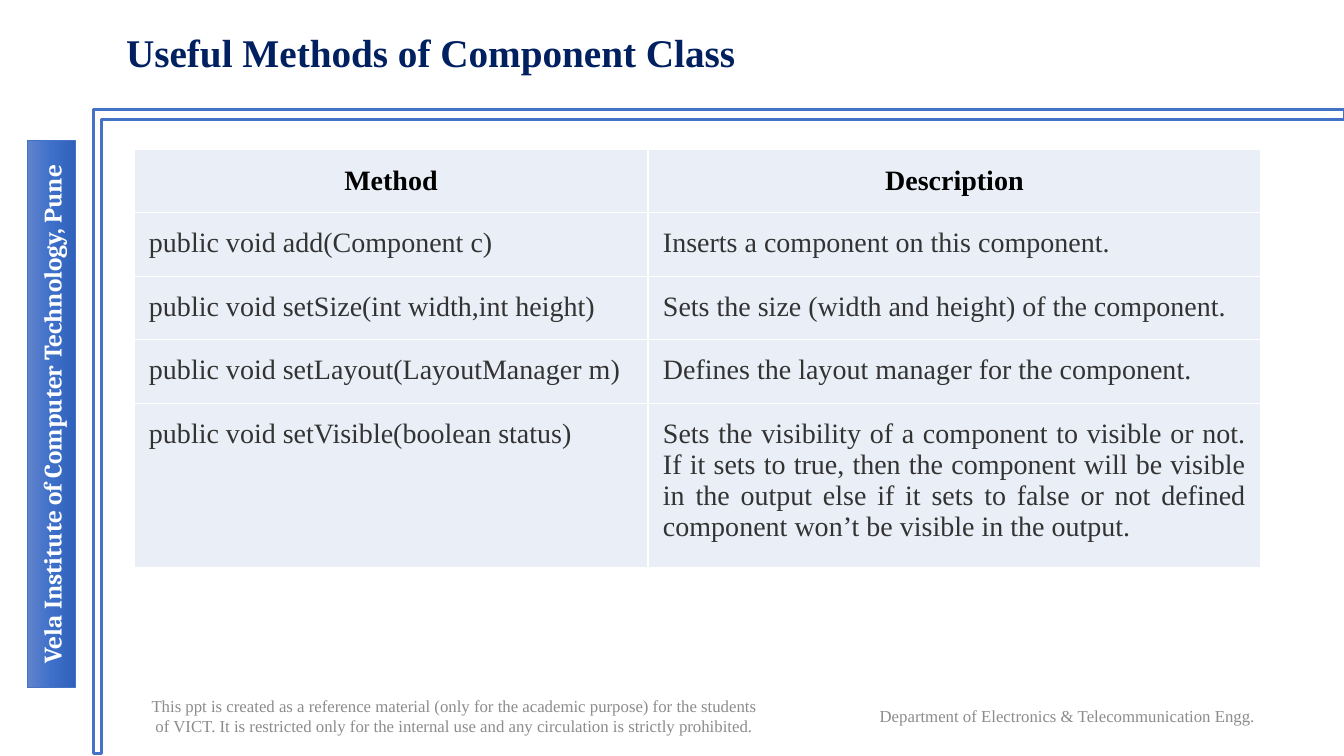
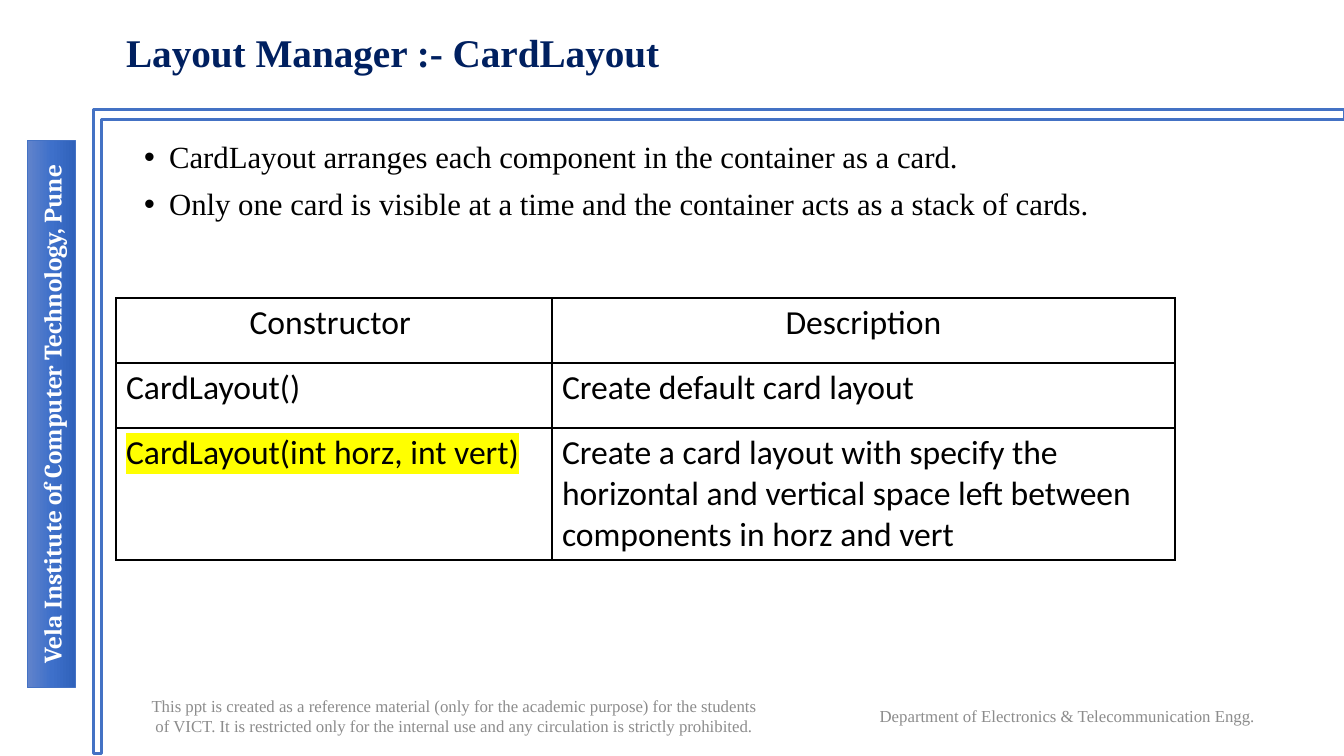
import copy

import pptx
import pptx.dml.color
import pptx.enum.shapes
import pptx.enum.text
import pptx.oxml
import pptx.oxml.ns
import pptx.util

EMU_PER_PX = 914400 / 100.8
SERIF = "Times New Roman"
NAVY, BLUE, GREY = "002060", "4472C4", "8C8C8C"
BLACK, WHITE, DARK_GREY = "000000", "FFFFFF", "333333"
PALE_BLUE, YELLOW = "EAEFF7", "FFFF00"
SIDEBAR_GRADIENT = ["6183CB", "3E70CA", "3062BB"]

INSTITUTE = "Vela Institute of Computer Technology, Pune"
DISCLAIMER = (
    "This ppt is created as a reference material (only for the academic purpose) "
    "for the students of VICT. It is restricted only for the internal use and any "
    "circulation is strictly prohibited."
)
DEPARTMENT = "Department of Electronics & Telecommunication Engg. "

METHODS = [
    ("Method", "Description"),
    ("public void add(Component c)", "Inserts a component on this component."),
    ("public void setSize(int width,int height)",
     "Sets the size (width and height) of the component."),
    ("public void setLayout(LayoutManager m)",
     "Defines the layout manager for the component."),
    ("public void setVisible(boolean status)",
     "Sets the visibility of a component to visible or not. If it sets to true, then "
     "the component will be visible in the output else if it sets to false or not "
     "defined component won’t be visible in the output."),
]
CARD_POINTS = [
    "CardLayout arranges each component in the container as a card.",
    "Only one card is visible at a time and the container acts as a stack of cards.",
]
CONSTRUCTORS = [
    ("Constructor ", "Description"),
    ("CardLayout()", "Create default card layout"),
    ("CardLayout(int horz, int vert)",
     "Create a card layout with specify the horizontal and vertical space left "
     "between components in horz and vert"),
]

ALIGN = pptx.enum.text.PP_ALIGN
ANCHOR = pptx.enum.text.MSO_ANCHOR
SHAPE = pptx.enum.shapes.MSO_SHAPE


def px(length):
    return pptx.util.Emu(round(length * EMU_PER_PX))


def box(left, top, width, height):
    return px(left), px(top), px(width), px(height)


def rgb(hex_color):
    return pptx.dml.color.RGBColor.from_string(hex_color)


def format_paragraph(paragraph, size, color, font=SERIF, bold=False, align=ALIGN.LEFT):
    paragraph.alignment = align
    for run in paragraph.runs:
        run.font.name = font
        run.font.size = pptx.util.Pt(size)
        run.font.bold = bold
        run.font.color.rgb = rgb(color)


def place(placeholder, left, top, width, height):
    placeholder.left, placeholder.top, placeholder.width, placeholder.height = box(
        left, top, width, height)
    placeholder.text_frame.auto_size = pptx.enum.text.MSO_AUTO_SIZE.NONE


def set_gradient(fill, shape, colors):
    """Fill from top to bottom with three evenly spaced colours."""
    fill.gradient()
    fill.gradient_angle = 270
    stops = shape._element.spPr.find(".//" + pptx.oxml.ns.qn("a:gsLst"))
    stops.insert(1, copy.deepcopy(stops[0]))
    for index, (stop, color) in enumerate(zip(fill.gradient_stops, colors)):
        stop.position = index / (len(colors) - 1)
        stop.color.rgb = rgb(color)


def add_outlined_shape(slide, kind, bounds, rotation, line_width):
    shape = slide.shapes.add_shape(kind, *box(*bounds))
    shape.rotation = rotation
    shape.shadow.inherit = False
    shape.line.color.rgb = rgb(BLUE)
    shape.line.width = pptx.util.Pt(line_width)
    return shape


def add_corner_frame(slide):
    frame = add_outlined_shape(slide, SHAPE.CORNER, (397, -194, 644, 1251), 90, 2.25)
    frame.adjustments[0] = 0.013
    frame.adjustments[1] = 0.015
    frame.fill.solid()
    frame.fill.fore_color.rgb = rgb(WHITE)


def add_sidebar(slide):
    sidebar = add_outlined_shape(slide, SHAPE.RECTANGLE, (-222, 390, 547, 48), 270, 0.5)
    set_gradient(sidebar.fill, sidebar, SIDEBAR_GRADIENT)
    text_frame = sidebar.text_frame
    text_frame.text = INSTITUTE
    text_frame.vertical_anchor = ANCHOR.MIDDLE
    format_paragraph(text_frame.paragraphs[0], 18, WHITE, "Cambria", True, ALIGN.CENTER)


def add_footer(slide, text, bounds):
    text_frame = slide.shapes.add_textbox(*box(*bounds)).text_frame
    text_frame.word_wrap = True
    text_frame.vertical_anchor = ANCHOR.MIDDLE
    text_frame.text = text
    format_paragraph(text_frame.paragraphs[0], 12, GREY, align=ALIGN.CENTER)


def add_base_slide(presentation, layout_name, title_text):
    """Add a slide with the title, frame, sidebar and footers."""
    layout = presentation.slide_layouts.get_by_name(layout_name)
    slide = presentation.slides.add_slide(layout)
    add_corner_frame(slide)
    add_sidebar(slide)
    add_footer(slide, DISCLAIMER, (134, 687, 641, 57))
    add_footer(slide, DEPARTMENT, (816, 698, 507, 36))
    title = slide.shapes.title
    place(title, 116, 24, 1132, 62)
    title.text_frame.text = title_text
    title.text_frame.vertical_anchor = ANCHOR.MIDDLE
    paragraph = title.text_frame.paragraphs[0]
    paragraph.line_spacing = 0.9
    format_paragraph(paragraph, 28, NAVY, bold=True)
    return slide


def fill_bullets(body, points):
    place(body, 134, 137, 1159, 510)
    body.text_frame.text = "\n".join(points)
    for paragraph in body.text_frame.paragraphs:
        paragraph.line_spacing = 0.9
        paragraph.space_before = pptx.util.Pt(10)
        format_paragraph(paragraph, 22, BLACK)
        properties = paragraph._p.get_or_add_pPr()
        properties.set("marL", str(px(25)))
        properties.set("indent", str(px(-25)))
        bullet = pptx.oxml.parse_xml(
            f'<a:buChar {pptx.oxml.ns.nsdecls("a")} char="•"/>')
        properties.append(bullet)


def set_borders(cell, color):
    properties = cell._tc.get_or_add_tcPr()
    for index, side in enumerate(("lnL", "lnR", "lnT", "lnB")):
        border = pptx.oxml.parse_xml(
            f'<a:{side} {pptx.oxml.ns.nsdecls("a")} w="12700">'
            f'<a:solidFill><a:srgbClr val="{color}"/></a:solidFill></a:{side}>')
        properties.insert(index, border)


def highlight(run, color):
    fill = run.font._element.find(pptx.oxml.ns.qn("a:solidFill"))
    fill.addnext(pptx.oxml.parse_xml(
        f'<a:highlight {pptx.oxml.ns.nsdecls("a")}>'
        f'<a:srgbClr val="{color}"/></a:highlight>'))


def add_grid(slide, rows, left, top, widths, heights, border, fill=None):
    """Add a table with plain cells and return it."""
    bounds = box(left, top, sum(widths), sum(heights))
    table = slide.shapes.add_table(len(rows), len(widths), *bounds).table
    table.first_row = table.horz_banding = False
    for column, width in zip(table.columns, widths):
        column.width = px(width)
    for row, height, texts in zip(table.rows, heights, rows):
        row.height = px(height)
        for cell, text in zip(row.cells, texts):
            cell.text_frame.text = text
            if fill:
                cell.fill.solid()
                cell.fill.fore_color.rgb = rgb(fill)
            else:
                cell.fill.background()
            set_borders(cell, border)
    return table


def format_cells(table, header_format, body_format):
    for index, row in enumerate(table.rows):
        for cell in row.cells:
            options = body_format if index else header_format
            format_paragraph(cell.text_frame.paragraphs[0], **options)


def add_methods_slide(presentation):
    slide = add_base_slide(
        presentation, "Title Only", "Useful Methods of Component Class")
    table = add_grid(slide, METHODS, 134, 149, [514, 613], [61] * 4 + [154],
                     WHITE, PALE_BLUE)
    for cell in table.iter_cells():
        cell.margin_left = cell.margin_right = px(15)
        cell.margin_top = cell.margin_bottom = px(15)
    for cell in table.rows[0].cells:
        cell.vertical_anchor = ANCHOR.MIDDLE
    format_cells(table,
                 dict(size=20, color=BLACK, bold=True, align=ALIGN.CENTER),
                 dict(size=20, color=DARK_GREY, align=ALIGN.JUSTIFY))


def add_card_layout_slide(presentation):
    slide = add_base_slide(
        presentation, "Title and Content", "Layout Manager :- CardLayout")
    fill_bullets(slide.placeholders[1], CARD_POINTS)
    table = add_grid(slide, CONSTRUCTORS, 116, 298, [436, 623], [65, 65, 132], BLACK)
    body_format = dict(size=24, color=BLACK, font="Calibri")
    format_cells(table, dict(body_format, align=ALIGN.CENTER), body_format)
    highlight(table.cell(2, 0).text_frame.paragraphs[0].runs[0], YELLOW)


def main():
    presentation = pptx.Presentation()
    presentation.slide_width = px(1344)
    presentation.slide_height = px(756)
    add_methods_slide(presentation)
    add_card_layout_slide(presentation)
    presentation.save("out.pptx")


if __name__ == "__main__":
    main()
